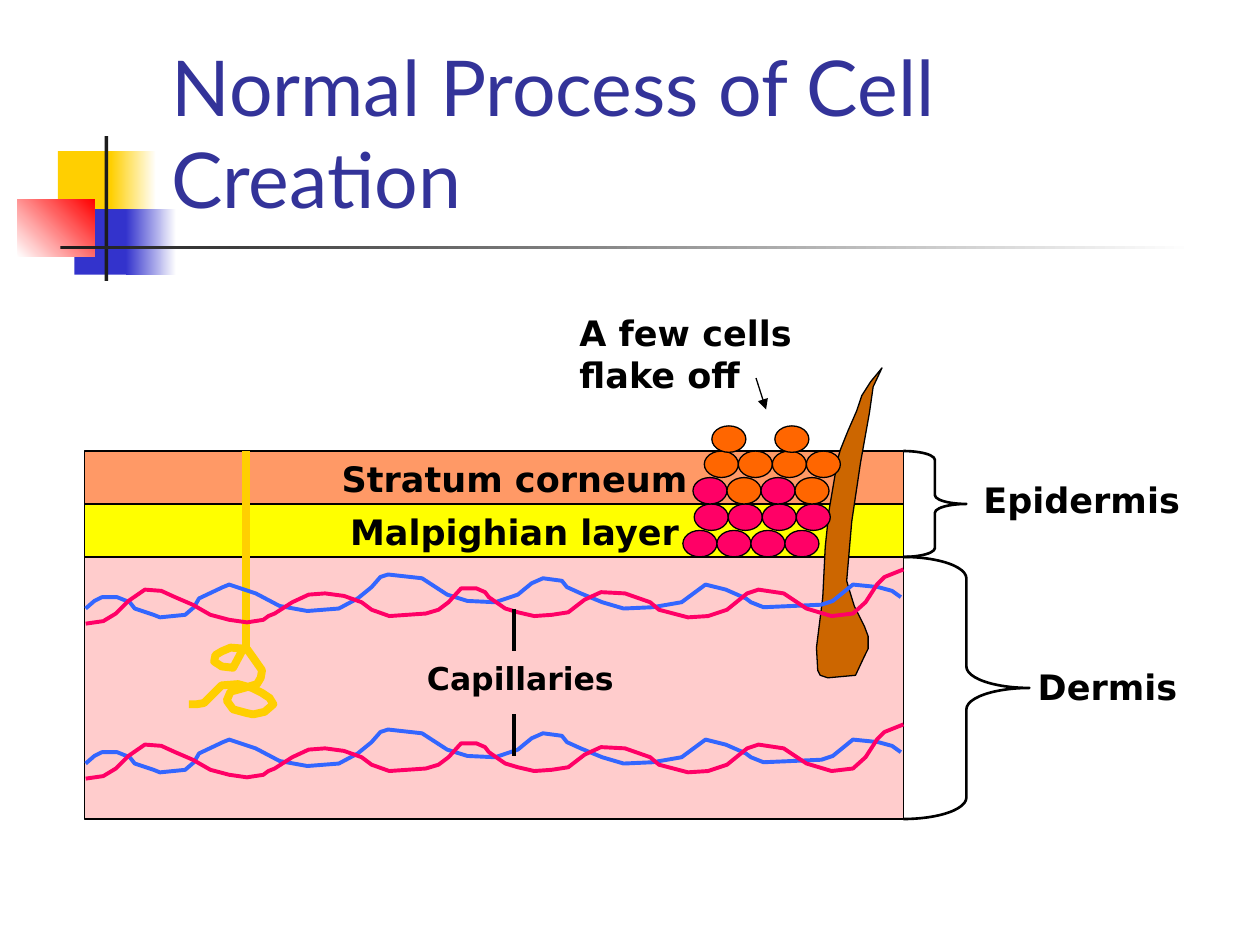
import pptx
import pptx.util
import pptx.dml.color
import pptx.enum.shapes
import pptx.enum.text
import pptx.oxml
import pptx.oxml.ns

SHAPE = pptx.enum.shapes.MSO_SHAPE
ALIGN = pptx.enum.text.PP_ALIGN
ANCHOR = pptx.enum.text.MSO_ANCHOR
FIT = pptx.enum.text.MSO_AUTO_SIZE
PX = 9144

COLORS = {
    "black": "000000", "white": "FFFFFF", "ink": "1C1C1C", "title": "333399",
    "gold": "FFCF01", "blue": "3333CC", "red": "FF0000", "dermis": "FFCCCC",
    "corneum": "FF9966", "malpighian": "FFFF00", "hair": "CC6600",
    "vein": "3366FF", "artery": "FF0066", "young": "FF0066", "old": "FF6600",
}

VEIN = [
    (68, 483), (75, 477), (81, 474), (93, 474), (103, 478), (107, 483), (122, 488),
    (127, 490), (147, 488), (154, 482), (158, 475), (177, 466), (182, 464), (203, 471),
    (222, 481), (244, 485), (269, 483), (284, 475), (295, 466), (302, 458), (308, 456),
    (335, 459), (355, 472), (371, 477), (393, 478), (411, 472), (422, 463), (431, 459),
    (446, 461), (450, 466), (461, 471), (478, 478), (495, 483), (518, 482), (541, 478),
    (560, 464), (576, 468), (592, 475), (596, 478), (606, 482), (652, 480), (661, 477),
    (677, 464), (697, 466), (708, 469), (715, 474),
]
ARTERY = [
    (68, 495), (82, 493), (92, 487), (102, 477), (115, 468), (128, 469), (139, 474),
    (153, 480), (167, 488), (182, 492), (196, 494), (209, 492), (213, 489), (218, 487),
    (232, 478), (245, 472), (258, 471), (273, 473), (287, 478), (295, 484), (309, 489),
    (338, 487), (348, 484), (356, 478), (366, 467), (378, 467), (385, 470), (388, 474),
    (401, 483), (411, 486), (424, 489), (438, 488), (451, 486), (464, 476), (477, 470),
    (496, 471), (516, 478), (523, 484), (546, 490), (562, 489), (577, 484), (593, 471),
    (602, 468), (622, 471), (640, 483), (660, 489), (677, 487), (687, 478), (696, 464),
    (702, 458), (712, 454), (717, 452),
]
GLAND = [
    (192, 517), (185, 530), (176, 529), (170, 525), (171, 520), (176, 517), (183, 514),
    (196, 515), (201, 522), (208, 532), (207, 538), (204, 543), (194, 546), (183, 549),
    (180, 556), (185, 563), (196, 566), (201, 567), (210, 565), (217, 559), (214, 554),
    (208, 550), (200, 546), (189, 543), (176, 544), (169, 551), (162, 558), (156, 559),
    (150, 559),
]
HAIR = [
    (700, 292), (691, 303), (684, 314), (680, 326), (673, 342), (667, 357), (665, 364),
    (658, 405), (655, 434), (653, 474), (648, 514), (649, 532), (651, 536), (657, 538),
    (679, 536), (686, 521), (689, 515), (689, 505), (686, 497), (678, 481), (674, 468),
    (672, 461), (676, 414), (683, 367), (690, 328), (693, 307),
]


class SlideBuilder:
    label_font = {"name": "DejaVu Sans", "bold": True}
    title_font = {"name": "Lato", "size": pptx.util.Pt(44), "bold": False}

    def __init__(self, s):
        self.s = s

    def rgb(self, name):
        return pptx.dml.color.RGBColor.from_string(COLORS[name])

    def apply(self, obj, values):
        for key, value in values.items():
            setattr(obj, key, value)

    def box(self, *lengths):
        return [v * PX for v in lengths]

    def paint(self, sp, fill=None, line=None, width=0.75):
        sp.shadow.inherit = False
        if fill:
            sp.fill.solid()
            sp.fill.fore_color.rgb = self.rgb(fill)
        else:
            sp.fill.background()
        if line:
            self.stroke(sp, line, width)
        else:
            sp.line.fill.background()

    def stroke(self, sp, color, width):
        sp.line.color.rgb = self.rgb(color)
        sp.line.width = pptx.util.Pt(width)

    def shape(self, kind, at, fill=None, line=None, width=0.75):
        sp = self.s.shapes.add_shape(kind, *self.box(*at))
        self.paint(sp, fill, line, width)
        return sp

    def fade(self, at, start, end, angle=0):
        sp = self.shape(SHAPE.RECTANGLE, at)
        sp.fill.gradient()
        sp.fill.gradient_angle = angle
        for stop, color, pos in zip(sp.fill.gradient_stops, (start, end), (0, 1)):
            stop.color.rgb = self.rgb(color)
            stop.position = pos

    def brace(self, at, curve):
        sp = self.shape(SHAPE.RIGHT_BRACE, at, line="black", width=1.5)
        sp.adjustments[0] = curve

    def outline(self, points, line, width, fill=None, dy=0):
        (x, y), *rest = [(px, py + dy) for px, py in points]
        fb = self.s.shapes.build_freeform(x, y, scale=PX)
        fb.add_line_segments(rest, close=fill is not None)
        self.paint(fb.convert_to_shape(), fill, line, width)

    def line(self, ends, color, width, arrow=False):
        kind = pptx.enum.shapes.MSO_CONNECTOR.STRAIGHT
        cx = self.s.shapes.add_connector(kind, *self.box(*ends))
        self.stroke(cx, color, width)
        sp_pr = cx._element.spPr
        ns = pptx.oxml.ns.nsdecls("a")
        if arrow:
            ln = sp_pr.find(pptx.oxml.ns.qn("a:ln"))
            ln.append(pptx.oxml.parse_xml(f'<a:tailEnd {ns} type="triangle"/>'))
        sp_pr.append(pptx.oxml.parse_xml(f"<a:effectLst {ns}/>"))

    def set_text(self, sp, text, color, frame, font, align):
        tf = sp.text_frame
        self.apply(tf, frame)
        p = tf.paragraphs[0]
        p.alignment = align
        r = p.add_run()
        r.text = text
        self.apply(r.font, font)
        r.font.color.rgb = self.rgb(color)

    def label(self, at, text, size=20, align=ALIGN.CENTER):
        sp = self.s.shapes.add_textbox(*self.box(*at))
        frame = {"word_wrap": True, "auto_size": FIT.SHAPE_TO_FIT_TEXT}
        font = {**self.label_font, "size": pptx.util.Pt(size)}
        self.set_text(sp, text, "black", frame, font, align)

    def title(self, at, text):
        sp = self.s.shapes.title
        self.apply(sp, dict(zip(("left", "top", "width", "height"), self.box(*at))))
        frame = {"word_wrap": True, "auto_size": FIT.NONE,
                 "vertical_anchor": ANCHOR.BOTTOM}
        self.set_text(sp, text, "title", frame, self.title_font, ALIGN.LEFT)
        self.s.shapes._spTree.append(sp._element)


def main():
    prs = pptx.Presentation()
    prs.slide_width, prs.slide_height = 1000 * PX, 750 * PX
    b = SlideBuilder(prs.slides.add_slide(prs.slide_layouts[5]))

    b.shape(SHAPE.RECTANGLE, (46, 120, 48, 52), "gold")
    b.fade((88, 120, 36, 52), "gold", "white")
    b.shape(SHAPE.RECTANGLE, (59, 166, 46, 52), "blue")
    b.fade((100, 166, 40, 52), "blue", "white")
    b.fade((14, 158, 61, 46), "white", "red", 45)
    b.shape(SHAPE.RECTANGLE, (83, 108, 3, 115), "ink")
    b.fade((48, 195, 900, 3), "ink", "white")
    b.title((126, 23, 852, 160), "Normal Process of Cell Creation")

    for top, height, fill in ((442, 208, "dermis"), (358, 42, "corneum"),
                              (400, 42, "malpighian")):
        b.shape(SHAPE.RECTANGLE, (67, top, 650, height), fill, "black")
    b.brace((717, 442, 100, 208), 0.17)
    b.brace((717, 358, 50, 84), 0.14)
    b.label((808, 523, 142, 44), "Dermis")
    b.label((767, 375, 183, 44), "Epidermis")
    b.label((242, 358, 333, 44), "Stratum corneum")
    b.label((242, 400, 333, 44), "Malpighian layer")

    b.line((195, 358, 195, 516), "gold", 4.5)
    b.outline(GLAND, "gold", 4.5)
    b.outline(HAIR, "black", 0.75, fill="hair")
    for dy in (123, 0):
        b.outline(VEIN, "vein", 2.25, dy=dy)
        b.outline(ARTERY, "artery", 2.25, dy=dy)
    for top, bottom in ((483, 517), (567, 600)):
        b.line((408, top, 408, bottom), "black", 2.25)
    b.label((317, 518, 192, 40), "Capillaries", 18)

    cell_rows = [
        (542, 421, 27, ["young"] * 4),
        (551, 400, 27, ["young"] * 4),
        (550, 379, 27, ["young", "old"] * 2),
        (559, 358, 27, ["old"] * 4),
        (565, 338, 50, ["old"] * 2),
    ]
    for left, top, step, fills in cell_rows:
        for i, fill in enumerate(fills):
            b.shape(SHAPE.OVAL, (left + i * step, top, 27, 21), fill, "black")

    b.label((450, 242, 208, 77), "A few cells flake off", align=ALIGN.LEFT)
    b.line((600, 300, 608, 325), "black", 0.75, arrow=True)
    prs.save("out.pptx")


if __name__ == "__main__":
    main()
